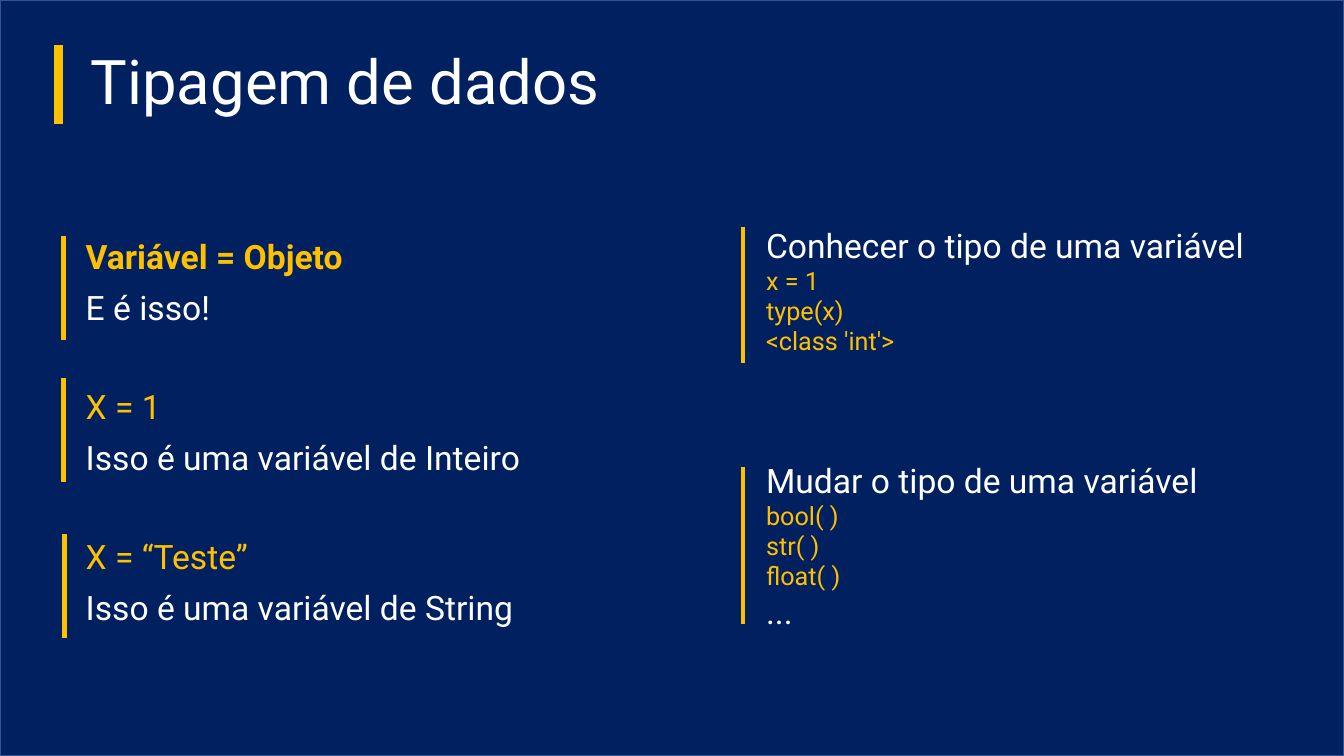
from lxml import etree
from pptx import Presentation
from pptx.dml.color import RGBColor
from pptx.enum import shapes, text
from pptx.oxml import ns
from pptx.util import Inches, Pt

NAVY = RGBColor(0x00, 0x20, 0x60)
EDGE_BLUE = RGBColor(0x32, 0x54, 0x91)
GOLD = RGBColor(0xFF, 0xC0, 0x00)
WHITE = RGBColor(0xFF, 0xFF, 0xFF)
WIDTH, HEIGHT = 13.33, 7.5


class SlideBuilder:
    """Holds the style and the current slide."""

    font = "Roboto"

    def __init__(self, page):
        self.page = page

    def background(self):
        fill = self.page.background.fill
        fill.solid()
        fill.fore_color.rgb = NAVY
        frame = self.page.shapes.add_shape(
            shapes.MSO_SHAPE.RECTANGLE, 0, 0, Inches(WIDTH), Inches(HEIGHT))
        frame.shadow.inherit = False
        frame.fill.background()
        frame.line.color.rgb = EDGE_BLUE
        frame.line.width = Pt(1)

    def bar(self, x, top, bottom, weight=3):
        line = self.page.shapes.add_connector(
            shapes.MSO_CONNECTOR.STRAIGHT,
            Inches(x), Inches(top), Inches(x), Inches(bottom))
        line.line.color.rgb = GOLD
        line.line.width = Pt(weight)
        etree.SubElement(line._element.spPr, ns.qn("a:effectLst"))

    def add_lines(self, frame, lines, spacing=1.0):
        """Each line is (words, size, colour, bold, space before)."""
        frame.auto_size = text.MSO_AUTO_SIZE.NONE
        for index, (words, size, colour, bold, before) in enumerate(lines):
            para = frame.add_paragraph() if index else frame.paragraphs[0]
            para.alignment = text.PP_ALIGN.LEFT
            para.line_spacing = spacing
            para.space_before = Pt(before)
            span = para.add_run()
            span.text = words
            span.font.name = self.font
            span.font.size = Pt(size)
            span.font.bold = bold
            span.font.color.rgb = colour

    def placeholder(self, box, place, lines, anchor):
        box.left, box.top, box.width, box.height = map(Inches, place)
        box.text_frame.vertical_anchor = anchor
        self.add_lines(box.text_frame, lines, spacing=0.9)

    def text_box(self, place, lines, wrap=True):
        box = self.page.shapes.add_textbox(*map(Inches, place))
        box.text_frame.word_wrap = wrap
        self.add_lines(box.text_frame, lines)


def code_lines(heading, commands):
    return [(heading, 24, WHITE, False, 0)] + [
        (command, 18, GOLD, False, 0) for command in commands]


deck = Presentation()
deck.slide_width, deck.slide_height = Inches(WIDTH), Inches(HEIGHT)
page = deck.slides.add_slide(deck.slide_layouts[0])
builder = SlideBuilder(page)
builder.background()

# Title
builder.bar(0.58, 0.45, 1.23, weight=6)
builder.placeholder(page.shapes.title, (0.8, 0.41, 11.5, 0.85),
                    [("Tipagem de dados", 44, WHITE, False, 0)],
                    text.MSO_ANCHOR.MIDDLE)

# Assignment examples, with a wide gap before each new pair
examples = [
    ("Variável = Objeto", "E é isso!"),
    ("X = 1", "Isso é uma variável de Inteiro"),
    ("X = “Teste”", "Isso é uma variável de String"),
]
example_lines = []
for index, (assignment, meaning) in enumerate(examples):
    first = index == 0
    example_lines += [(assignment, 24, GOLD, first, 10 if first else 45.3),
                      (meaning, 24, WHITE, False, 10)]
builder.placeholder(page.placeholders[1], (0.75, 2.34, 4.91, 4.13),
                    example_lines, text.MSO_ANCHOR.TOP)
for x, top in ((0.63, 2.34), (0.63, 3.75), (0.64, 5.3)):
    builder.bar(x, top, top + 1.03)

# Finding out and changing a type
builder.text_box((7.5, 2.18, 5.28, 1.41), code_lines(
    "Conhecer o tipo de uma variável", ["x = 1", "type(x)", "<class 'int'>"]))
builder.bar(7.37, 2.25, 3.6)
builder.text_box((7.5, 4.51, 4.54, 1.82), code_lines(
    "Mudar o tipo de uma variável", ["bool( )", "str( )", "float( )"])
    + [("...", 24, WHITE, False, 0)], wrap=False)
builder.bar(7.37, 4.63, 6.19)

deck.save("out.pptx")
